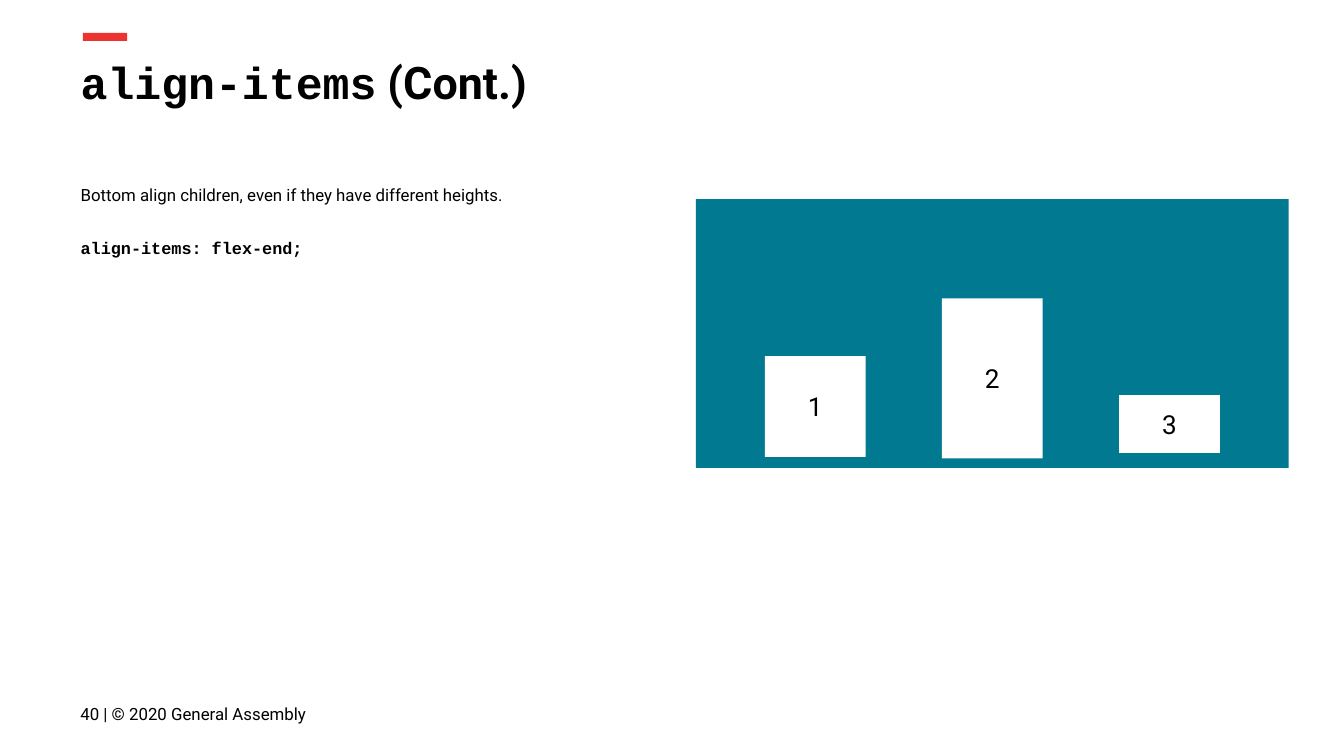
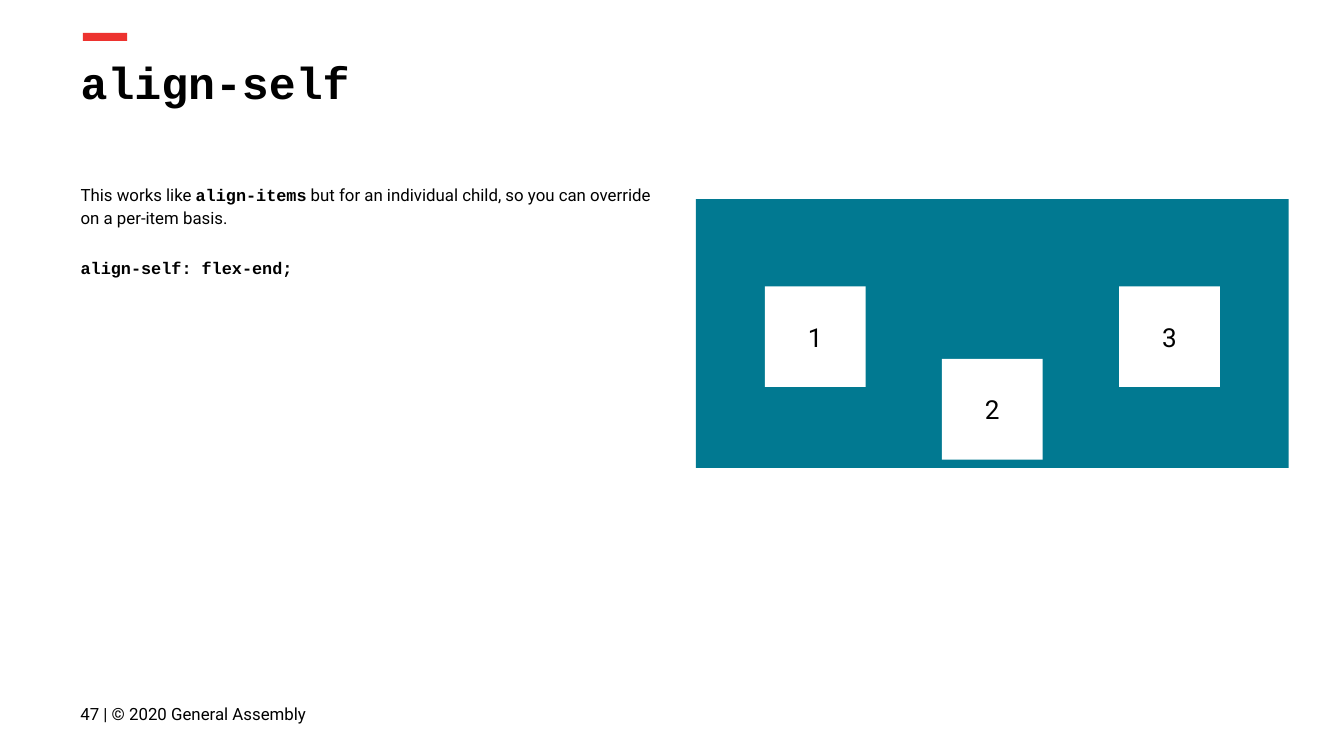
from pptx import Presentation
from pptx.dml.color import RGBColor
from pptx.enum.shapes import MSO_SHAPE
from pptx.enum.text import MSO_ANCHOR, MSO_AUTO_SIZE, PP_ALIGN
from pptx.oxml.xmlchemy import OxmlElement
from pptx.util import Inches, Pt

RECTANGLE = MSO_SHAPE.RECTANGLE
TOP, MIDDLE = MSO_ANCHOR.TOP, MSO_ANCHOR.MIDDLE
LEFT, CENTER = PP_ALIGN.LEFT, PP_ALIGN.CENTER
NO_FIT = MSO_AUTO_SIZE.NONE

COLORS = {"accent": "ED332F", "panel": "017991", "tile": "FFFFFF", "text": "000000"}
SANS, MONO = "Roboto", "Courier New"
COLUMNS, ROWS = 100, 56.25
CELL = Inches(0.1)
MARGIN = 5
TILE_START, TILE_STEP, TILE_WIDTH = 56.9, 13.18, 7.5

SLIDES = [
    {
        "title": [("align-items", MONO), (" (Cont.)", SANS)],
        "body": [
            {"spans": [("Bottom align children, even if they have different heights.", SANS)],
             "line": 1.15},
            {"spans": [("align-items: flex-end;", MONO)],
             "line": 1.15, "before": 16, "after": 16},
        ],
        "tiles": [(26.5, 7.5), (22.2, 11.9), (29.4, 4.3)],
        "number": 40,
    },
    {
        "title": [("align-self", MONO)],
        "body": [
            {"spans": [("This works like ", SANS), ("align-items", MONO),
                       (" but for an individual child, so you can override"
                        " on a per-item basis.", SANS)],
             "line": 1.15},
            {"spans": [("align-self: flex-end;", MONO)], "before": 16},
        ],
        "tiles": [(21.3, 7.5), (26.7, 7.5), (21.3, 7.5)],
        "number": 47,
    },
]


def cells(*counts):
    """Turn grid cell counts into slide lengths."""
    return [round(count * CELL) for count in counts]


def add_text(para, text, font=SANS, size=9, bold=False):
    """Append a formatted span of text to a paragraph."""
    span = para.add_run()
    span.text = text
    span.font.name = font
    span.font.size = Pt(size)
    span.font.bold = bold
    span.font.color.rgb = RGBColor.from_string(COLORS["text"])


def format_para(para, align=LEFT, line=1.0, before=0, after=0):
    """Set the alignment and spacing of a paragraph."""
    para.alignment = align
    para.line_spacing = line
    para.space_before = Pt(before)
    para.space_after = Pt(after)


def format_frame(box, anchor=TOP):
    """Give a box wrapped text, even insets and a vertical anchor."""
    frame = box.text_frame
    frame.word_wrap = True
    frame.auto_size = NO_FIT
    frame.vertical_anchor = anchor
    frame.margin_left = frame.margin_right = CELL
    frame.margin_top = frame.margin_bottom = CELL
    return frame


def place(box, left, top, width, height):
    """Move a placeholder to a grid position."""
    box.left, box.top, box.width, box.height = cells(left, top, width, height)


def remove_bullet(para):
    """Clear the inherited bullet and indent of a paragraph."""
    properties = para._p.get_or_add_pPr()
    properties.set("marL", "0")
    properties.set("indent", "0")
    properties.append(OxmlElement("a:buNone"))


def add_block(slide, color, left, top, width, height):
    """Draw a plain filled rectangle."""
    block = slide.shapes.add_shape(RECTANGLE, *cells(left, top, width, height))
    block.shadow.inherit = False
    block.fill.solid()
    block.fill.fore_color.rgb = RGBColor.from_string(COLORS[color])
    block.line.fill.background()
    return block


def fill_title(slide, spans):
    """Write the slide title in its placeholder."""
    title = slide.shapes.title
    place(title, MARGIN, 3.1, 93.2, 6.3)
    para = format_frame(title).paragraphs[0]
    format_para(para)
    for text, font in spans:
        add_text(para, text, font=font, size=24, bold=True)


def fill_body(slide, paragraphs):
    """Write the explanation, with code in bold monospace."""
    body = slide.placeholders[1]
    place(body, MARGIN, 12.5, 45, 32.1)
    frame = format_frame(body)
    for index, content in enumerate(paragraphs):
        para = frame.add_paragraph() if index else frame.paragraphs[0]
        spacing = {key: value for key, value in content.items() if key != "spans"}
        remove_bullet(para)
        format_para(para, **spacing)
        for text, font in content["spans"]:
            add_text(para, text, font=font, bold=font == MONO)


def add_footer(slide, number):
    """Add the page number and copyright line."""
    footer = slide.shapes.add_textbox(*cells(MARGIN, 51, 25.9, 4.3))
    para = format_frame(footer, MIDDLE).paragraphs[0]
    add_text(para, f"{number} | © 2020 General Assembly")


def add_flex_diagram(slide, tiles):
    """Draw the flex container and its numbered children."""
    add_block(slide, "panel", 51.78, 14.82, 44.1, 20)
    for index, (top, height) in enumerate(tiles):
        left = TILE_START + index * TILE_STEP
        tile = add_block(slide, "tile", left, top, TILE_WIDTH, height)
        para = format_frame(tile, MIDDLE).paragraphs[0]
        format_para(para, align=CENTER)
        add_text(para, str(index + 1), size=14)


def add_slide(deck, content):
    """Build one slide from its content."""
    slide = deck.slides.add_slide(deck.slide_layouts[1])
    add_block(slide, "accent", 6.17, 2.45, 3.3, 0.6)
    fill_title(slide, content["title"])
    fill_body(slide, content["body"])
    add_footer(slide, content["number"])
    add_flex_diagram(slide, content["tiles"])


def main():
    """Build and save the deck."""
    deck = Presentation()
    deck.slide_width, deck.slide_height = cells(COLUMNS, ROWS)
    for content in SLIDES:
        add_slide(deck, content)
    deck.save("out.pptx")


if __name__ == "__main__":
    main()
